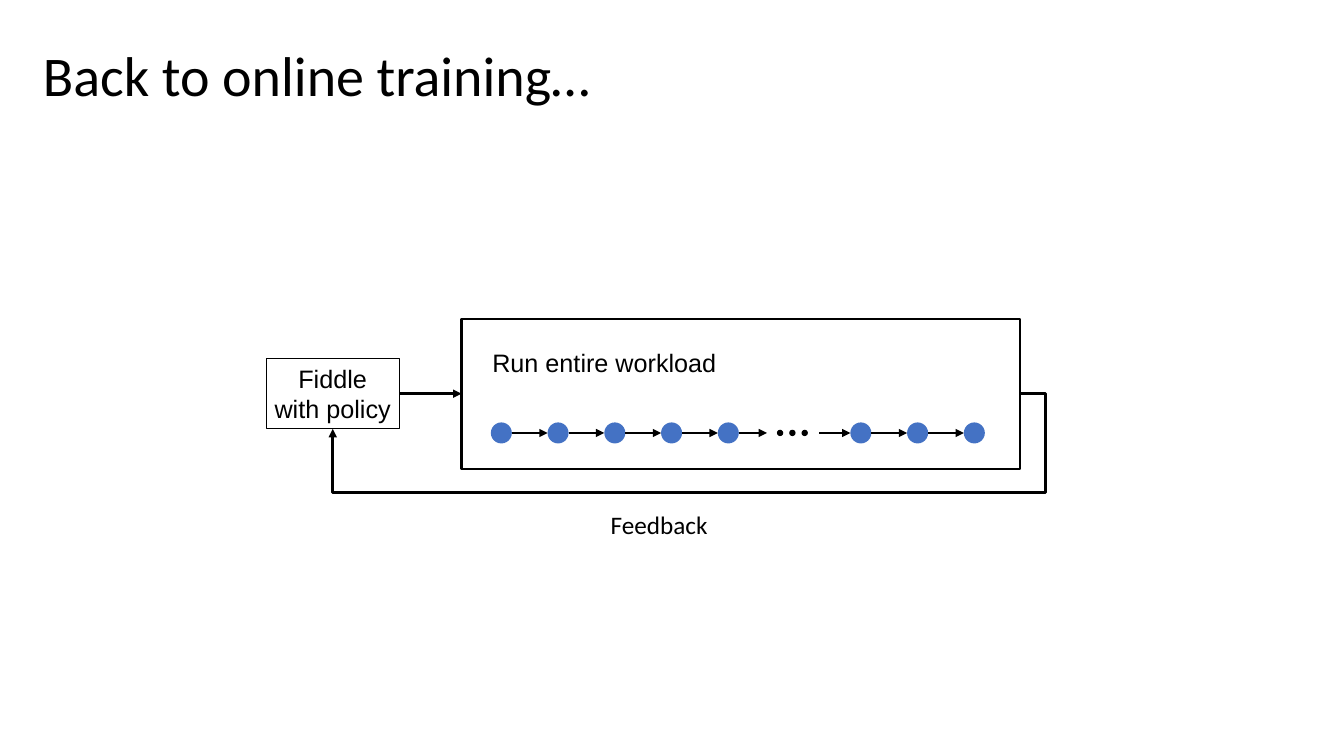
"""Build the slide that shows online training as a feedback loop."""
from lxml import etree
from pptx import Presentation
from pptx import util as u
from pptx.dml.color import RGBColor
from pptx.enum import shapes, text
from pptx.oxml.ns import qn

BLACK = RGBColor(0x00, 0x00, 0x00)
WHITE = RGBColor(0xFF, 0xFF, 0xFF)
BLUE = RGBColor(0x44, 0x72, 0xC4)


class Diagram:
    def __init__(self, slide):
        self.shapes = slide.shapes
        self.label_size = u.Pt(18)

    def set_words(self, frame, words, font, size, align):
        frame.text = words
        for paragraph in frame.paragraphs:
            paragraph.alignment = align
            paragraph.font.name = font
            paragraph.font.size = size
            paragraph.font.color.rgb = BLACK

    def label(self, box, words, font="Arial", size=None, wrap=False,
              align=text.PP_ALIGN.CENTER):
        frame = self.shapes.add_textbox(*map(u.Cm, box)).text_frame
        frame.word_wrap = wrap
        self.set_words(frame, words, font, size or self.label_size, align)

    def block(self, kind, box, fill=None, line=None):
        shape = self.shapes.add_shape(kind, *map(u.Cm, box))
        shape.shadow.inherit = False
        if fill is None:
            shape.fill.background()
        else:
            shape.fill.solid()
            shape.fill.fore_color.rgb = fill
        if line is None:
            shape.line.fill.background()
        else:
            shape.line.color.rgb = BLACK
            shape.line.width = u.Pt(line)
        return shape

    def circle(self, left, middle, size, fill):
        box = (left, middle - size / 2, size, size)
        return self.block(shapes.MSO_SHAPE.OVAL, box, fill)

    def arrow(self, start, end, width, tip="tailEnd",
              kind=shapes.MSO_CONNECTOR.STRAIGHT):
        arrow = self.shapes.add_connector(kind, *map(u.Cm, start + end))
        arrow.line.color.rgb = BLACK
        arrow.line.width = u.Pt(width)
        outline = arrow._element.spPr.find(qn("a:ln"))
        etree.SubElement(outline, qn(f"a:{tip}"), type="triangle")
        etree.SubElement(arrow._element.spPr, qn("a:effectLst"))
        return arrow

    def feedback_loop(self, target, source):
        loop = self.arrow((0, 0), (1, 1), 2, "headEnd", shapes.MSO_CONNECTOR.ELBOW)
        loop.begin_connect(target, 2)
        loop.end_connect(source, 3)
        start_x, start_y = target.left + target.width // 2, target.top + target.height
        end_x, end_y = source.left + source.width, source.top + source.height // 2
        rise, span = start_y - end_y, end_x - start_x
        loop.left = (start_x + end_x - rise) // 2
        loop.top = (start_y + end_y - span) // 2
        loop.width, loop.height = rise, span
        properties = loop._element.spPr
        frame = properties.find(qn("a:xfrm"))
        for name, value in (("rot", "5400000"), ("flipH", "1"), ("flipV", "1")):
            frame.set(name, value)
        geometry = properties.find(qn("a:prstGeom"))
        geometry.set("prst", "bentConnector4")
        bends = geometry.find(qn("a:avLst"))
        for name, value in (("adj1", -180700), ("adj2", 103700)):
            etree.SubElement(bends, qn("a:gd"), name=name, fmla=f"val {value}")


def main():
    deck = Presentation()
    deck.slide_width, deck.slide_height = u.Cm(33.87), u.Cm(19.05)
    diagram = Diagram(deck.slides.add_slide(deck.slide_layouts[6]))
    diagram.label((0.71, 0.89, 14.53, 1.96), "Back to online training…",
                  "Calibri", u.Pt(40))

    rectangle = shapes.MSO_SHAPE.RECTANGLE
    workload = diagram.block(rectangle, (11.63, 8.03, 14.07, 3.78), line=1.5)
    policy = diagram.block(rectangle, (6.71, 9.03, 3.35, 1.78), WHITE, 0)
    policy.text_frame.word_wrap = False
    policy.text_frame.vertical_anchor = text.MSO_ANCHOR.MIDDLE
    diagram.set_words(policy.text_frame, "Fiddle\nwith policy", "Arial",
                      diagram.label_size, text.PP_ALIGN.CENTER)
    run = diagram.arrow((10.06, 9.92), (11.63, 9.92), 2)
    run.begin_connect(policy, 3)
    run.end_connect(workload, 1)
    diagram.feedback_loop(policy, workload)

    middle, step_size, pitch = 10.91, 0.53, 1.43
    for first, count in ((12.37, 5), (21.43, 3)):
        for i in range(count):
            left = first + i * pitch
            diagram.circle(left, middle, step_size, BLUE)
            if i < count - 1:
                diagram.arrow((left + step_size, middle), (left + pitch, middle), 1.5)
    for i in range(3):
        diagram.circle(19.58 + i * 0.31, middle, 0.16, BLACK)
    for start, end in ((18.62, 19.33), (20.65, 21.43)):
        diagram.arrow((start, middle), (end, middle), 1.5)

    diagram.label((11.89, 8.64, 6.68, 1.02), "Run entire workload", wrap=True)
    diagram.label((15.14, 12.7, 2.97, 1.02), "Feedback", "Calibri",
                  align=text.PP_ALIGN.LEFT)
    deck.save("out.pptx")


if __name__ == "__main__":
    main()
